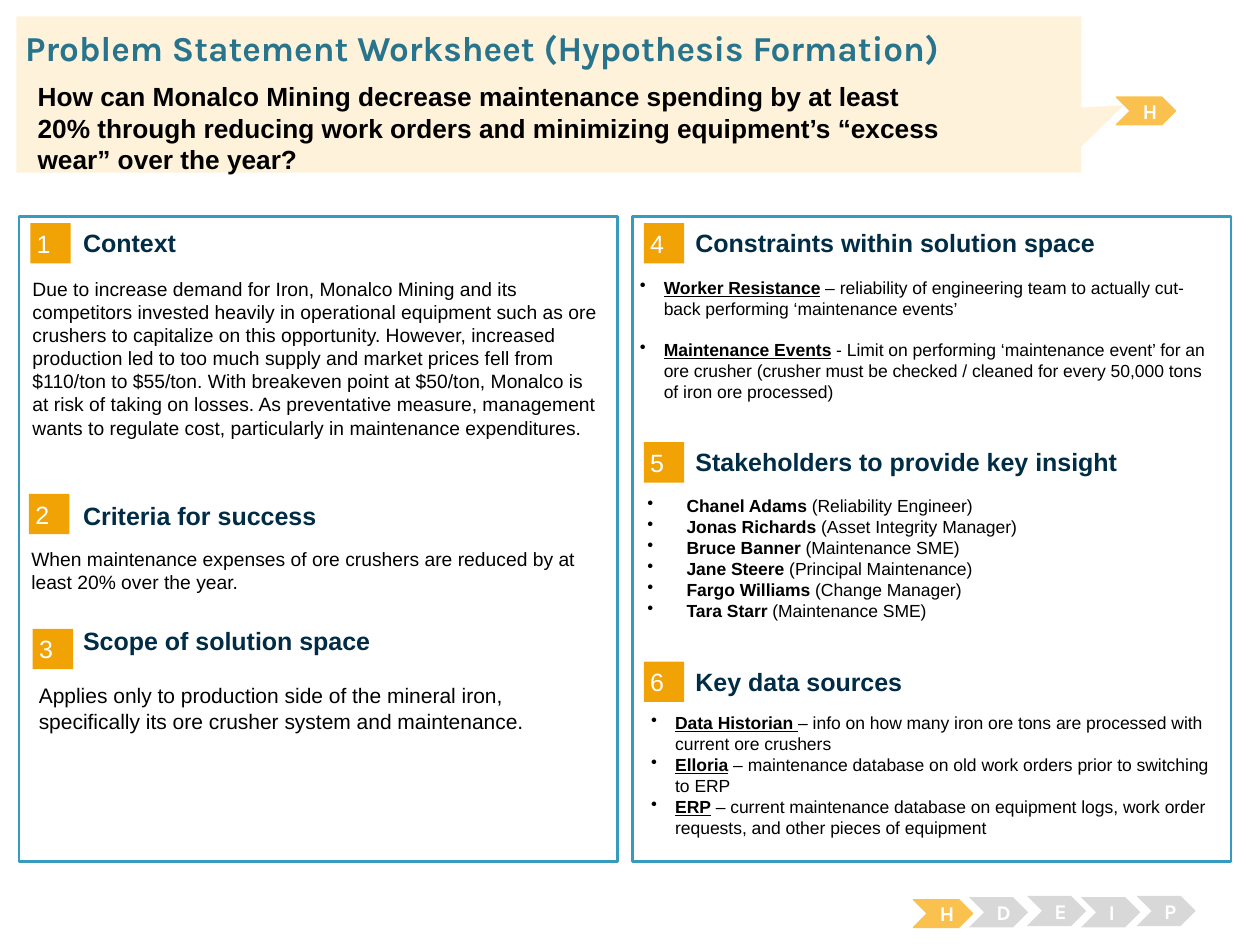
"""Build the problem statement worksheet slide."""
from dataclasses import dataclass

from lxml import etree
from pptx import Presentation
from pptx.dml.color import RGBColor
from pptx.enum.shapes import MSO_SHAPE
from pptx.enum.text import MSO_ANCHOR, PP_ALIGN
from pptx.oxml.ns import qn
from pptx.util import Inches, Pt

RECT, CHEVRON, CALLOUT = MSO_SHAPE.RECTANGLE, MSO_SHAPE.CHEVRON, MSO_SHAPE.RECTANGULAR_CALLOUT
TOP, MIDDLE = MSO_ANCHOR.TOP, MSO_ANCHOR.MIDDLE
LEFT, CENTER = PP_ALIGN.LEFT, PP_ALIGN.CENTER


@dataclass(frozen=True)
class Theme:
    """Colours, fonts and type sizes."""
    body_font: str = "Arial"
    brand_font: str = "Karla"
    white: str = "FFFFFF"
    black: str = "000000"
    border: str = "379BBD"
    badge: str = "F1A205"
    heading: str = "002C46"
    active: str = "FBC14E"
    idle: str = "D8D8D8"
    banner: str = "FEF2DA"
    title: str = "29748D"
    title_size: float = 20
    question_size: float = 15
    heading_size: float = 14.3
    scope_size: float = 12
    body_size: float = 11
    list_size: float = 10
    step_size: float = 12


T = Theme()
NO_INSET, BADGE_INSET, BODY_INSET = (0, 0), (0.05, 0.05), (0.1, 0.05)

TITLE = "Problem Statement Worksheet (Hypothesis Formation)"
QUESTION = ("How can Monalco Mining decrease maintenance spending by at least 20% through reducing "
            "work orders and minimizing equipment’s “excess wear” over the year?")
CONTEXT = ("Due to increase demand for Iron, Monalco Mining and its competitors invested heavily in "
           "operational equipment such as ore crushers to capitalize on this opportunity. However, "
           "increased production led to too much supply and market prices fell from $110/ton to "
           "$55/ton. With breakeven point at $50/ton, Monalco is at risk of taking on losses. As "
           "preventative measure, management wants to regulate cost, particularly in maintenance "
           "expenditures.")
CRITERIA = "When maintenance expenses of ore crushers are reduced by at least 20% over the year."
SCOPE = ("Applies only to production side of the mineral iron, specifically its ore crusher system "
         "and maintenance.")
CONSTRAINTS = [
    ("Worker Resistance", " – reliability of engineering team to actually cut-back performing "
                          "‘maintenance events’"),
    ("Maintenance Events", " - Limit on performing ‘maintenance event’ for an ore crusher (crusher "
                           "must be checked / cleaned for every 50,000 tons of iron ore processed)"),
]
STAKEHOLDERS = [
    ("Chanel Adams", " (Reliability Engineer)"),
    ("Jonas Richards", " (Asset Integrity Manager)"),
    ("Bruce Banner", " (Maintenance SME)"),
    ("Jane Steere", " (Principal Maintenance)"),
    ("Fargo Williams", " (Change Manager)"),
    ("Tara Starr", " (Maintenance SME)"),
]
SOURCES = [
    ("Data Historian ", "– info on how many iron ore tons are processed with current ore crushers"),
    ("Elloria", " – maintenance database on old work orders prior to switching to ERP"),
    ("ERP", " – current maintenance database on equipment logs, work order requests, and other "
            "pieces of equipment"),
]

PANELS_X = [0.15, 5.02]
SECTIONS = [
    ("Context", 0.24, 1.77, 0.66, 1.8),
    ("Criteria for success", 0.23, 3.92, 0.66, 3.97),
    ("Scope of solution space", 0.26, 4.99, 0.66, 4.96),
    ("Constraints within solution space", 5.11, 1.77, 5.52, 1.8),
    ("Stakeholders to provide key insight", 5.11, 3.51, 5.52, 3.54),
    ("Key data sources", 5.11, 5.25, 5.52, 5.28),
]
PARAGRAPHS = [
    (CONTEXT, (0.16, 2.15, 4.73, 1.72), T.body_size),
    (CRITERIA, (0.15, 4.29, 4.73, 0.59), T.body_size),
    (SCOPE, (0.21, 5.37, 4.73, 0.82), T.scope_size),
]
LISTS = [
    (CONSTRAINTS, (4.98, 2.15, 4.73, 1.28), 0.19, True, 11.5),
    (STAKEHOLDERS, (5.04, 3.88, 4.42, 1.18), 0.31, False, 0),
    (SOURCES, (5.07, 5.6, 4.73, 1.18), 0.19, True, 0),
]
STEPS = [
    ("H", 7.25, 7.14, True),
    ("D", 7.69, 7.12, False),
    ("E", 8.15, 7.11, False),
    ("I", 8.58, 7.12, False),
    ("P", 9.02, 7.11, False),
    ("H", 8.86, 0.77, True),
]


def rgb(color):
    return RGBColor.from_string(color)


def add_box(s, kind, at, fill, line=None, width=0.75):
    sp = s.shapes.add_shape(kind, *map(Inches, at))
    sp.shadow.inherit = False
    sp.fill.solid()
    sp.fill.fore_color.rgb = rgb(fill)
    if line:
        sp.line.color.rgb = rgb(line)
        sp.line.width = Pt(width)
    else:
        sp.line.fill.background()
    return sp


def frame(sp, inset, anchor=TOP):
    tf = sp.text_frame
    tf.word_wrap = True
    tf.vertical_anchor = anchor
    tf.margin_left = tf.margin_right = Inches(inset[0])
    tf.margin_top = tf.margin_bottom = Inches(inset[1])
    return tf


def style(p, size, color=T.black, bold=None, font=T.body_font, align=LEFT):
    p.alignment = align
    p.font.size, p.font.bold, p.font.name = Pt(size), bold, font
    p.font.color.rgb = rgb(color)


def write(sp, text, inset, anchor, *args, **kwargs):
    p = frame(sp, inset, anchor).paragraphs[0]
    p.text = text
    style(p, *args, **kwargs)


def add_text(s, text, at, inset, anchor, *args, **kwargs):
    write(s.shapes.add_textbox(*map(Inches, at)), text, inset, anchor, *args, **kwargs)


def add_bullet(p, indent):
    pPr = p._p.get_or_add_pPr()
    pPr.set("marL", str(Inches(indent)))
    pPr.set("indent", str(-Inches(indent)))
    bullet = etree.Element(qn("a:buChar"), char="•")
    pPr.insert_element_before(bullet, "a:tabLst", "a:defRPr", "a:extLst")


def add_list(s, items, at, indent, underline, gap):
    tf = frame(s.shapes.add_textbox(*map(Inches, at)), BODY_INSET)
    for i, (term, detail) in enumerate(items):
        p = tf.add_paragraph() if i else tf.paragraphs[0]
        style(p, T.list_size)
        p.space_after = Pt(gap)
        add_bullet(p, indent)
        r = p.add_run()
        r.text, r.font.bold, r.font.underline = term, True, underline
        p.add_run().text = detail


def add_step(s, letter, x, y, active):
    fill, line, h = (T.active, T.active, 0.22) if active else (T.idle, None, 0.24)
    sp = add_box(s, CHEVRON, (x, y, 0.47, h), fill, line)
    write(sp, letter, BODY_INSET, MIDDLE, T.step_size, T.white, True, T.brand_font, CENTER)


prs = Presentation()
prs.slide_width, prs.slide_height = Inches(10), Inches(7.5)
s = prs.slides.add_slide(prs.slide_layouts[6])

for x in PANELS_X:
    add_box(s, RECT, (x, 1.72, 4.75, 5.12), T.white, T.border, 1.5)
for number, (heading, x, y, head_x, head_y) in enumerate(SECTIONS, 1):
    badge = add_box(s, RECT, (x, y, 0.32, 0.32), T.badge)
    write(badge, str(number), BADGE_INSET, MIDDLE, T.heading_size, T.white)
    add_text(s, heading, (head_x, head_y, 3.93, 0.25), NO_INSET, MIDDLE,
             T.heading_size, T.heading, True)
for text, at, size in PARAGRAPHS:
    add_text(s, text, at, BODY_INSET, TOP, size)
for entry in LISTS:
    add_list(s, *entry)
for step in STEPS:
    add_step(s, *step)

banner = add_box(s, CALLOUT, (0.13, 0.13, 8.45, 1.24), T.banner)
banner.adjustments[0], banner.adjustments[1] = 0.54, 0.07
add_text(s, TITLE, (0.2, 0.21, 9.62, 0.34), NO_INSET, TOP,
         T.title_size, T.title, True, T.brand_font)
add_text(s, QUESTION, (0.2, 0.59, 7.49, 0.84), BODY_INSET, TOP, T.question_size, bold=True)

prs.save("out.pptx")
